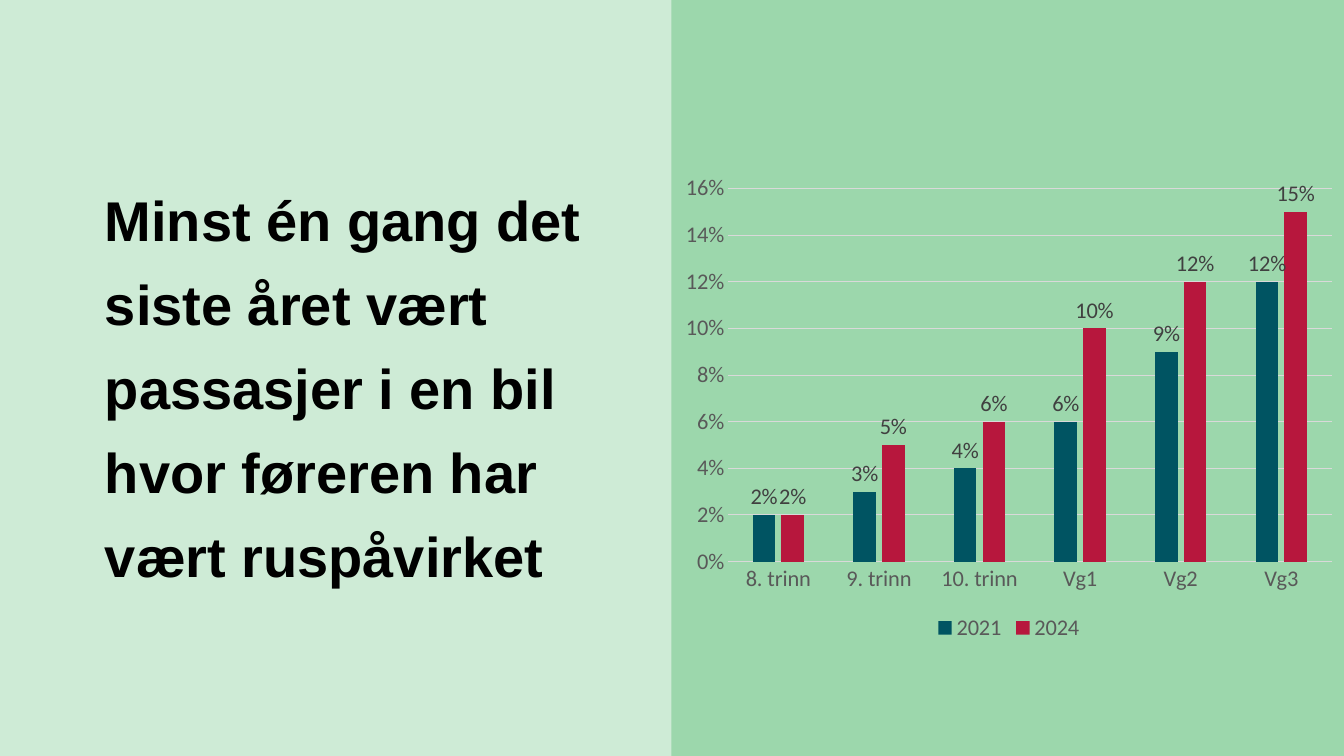
import pptx
import pptx.chart.data
import pptx.dml.color
import pptx.enum.chart
import pptx.enum.shapes
import pptx.enum.text
import pptx.util
from pptx.util import Inches

GRADES = ["8. trinn", "9. trinn", "10. trinn", "Vg1", "Vg2", "Vg3"]
# Year: (bar colour, shares by grade)
SURVEYS = {
    "2021": ("005462", [0.02, 0.03, 0.04, 0.06, 0.09, 0.12]),
    "2024": ("B7173D", [0.02, 0.05, 0.06, 0.10, 0.12, 0.15]),
}
AXIS_GREY = "595959"
GRID_GREY = "D9D9D9"


def rgb(value):
    return pptx.dml.color.RGBColor.from_string(value)


def paint(fill, color):
    fill.solid()
    fill.fore_color.rgb = rgb(color)


def style_font(font, size=16, color=AXIS_GREY, name="Calibri", bold=False):
    font.size = pptx.util.Pt(size)
    font.name = name
    font.bold = bold
    font.color.rgb = rgb(color)


def style_line(line, color, width=0.75):
    line.color.rgb = rgb(color)
    line.width = pptx.util.Pt(width)


def write_text(shape, text, line_spacing=None, **font_format):
    frame = shape.text_frame
    frame.word_wrap = True
    frame.auto_size = pptx.enum.text.MSO_AUTO_SIZE.NONE
    frame.vertical_anchor = pptx.enum.text.MSO_ANCHOR.MIDDLE
    frame.margin_left = frame.margin_right = 0
    frame.margin_top = frame.margin_bottom = 0
    paragraph = frame.paragraphs[0]
    paragraph.alignment = pptx.enum.text.PP_ALIGN.LEFT
    if line_spacing:
        paragraph.line_spacing = pptx.util.Pt(line_spacing)
    run = paragraph.add_run()
    run.text = text
    style_font(run.font, **font_format)


def add_panel(slide, left, top, width, height, color):
    panel = slide.shapes.add_shape(
        pptx.enum.shapes.MSO_SHAPE.RECTANGLE,
        Inches(left), Inches(top), Inches(width), Inches(height))
    panel.shadow.inherit = False
    paint(panel.fill, color)
    panel.line.fill.background()


def set_title(slide, text, left, top, width, height):
    title = slide.shapes.title
    title.left, title.top = Inches(left), Inches(top)
    title.width, title.height = Inches(width), Inches(height)
    write_text(title, text, line_spacing=60, size=40, color="000000",
               name="Arial", bold=True)


def style_axes(chart):
    for axis in (chart.category_axis, chart.value_axis):
        axis.major_tick_mark = pptx.enum.chart.XL_TICK_MARK.NONE
        axis.minor_tick_mark = pptx.enum.chart.XL_TICK_MARK.NONE
        style_font(axis.tick_labels.font)
    style_line(chart.category_axis.format.line, GRID_GREY)
    shares = chart.value_axis
    shares.minimum_scale, shares.maximum_scale = 0, 0.16
    shares.major_unit = 0.02
    shares.tick_labels.number_format = "0%"
    shares.tick_labels.number_format_is_linked = False
    shares.format.line.fill.background()
    shares.has_major_gridlines = True
    style_line(shares.major_gridlines.format.line, GRID_GREY)


def style_bars(plot):
    plot.gap_width = 219
    plot.overlap = -27
    plot.vary_by_categories = False
    for bars, (color, _) in zip(plot.series, SURVEYS.values()):
        paint(bars.format.fill, color)
        bars.invert_if_negative = False
        labels = bars.data_labels
        labels.show_value = True
        labels.position = pptx.enum.chart.XL_LABEL_POSITION.OUTSIDE_END
        labels.number_format = "0%"
        labels.number_format_is_linked = False
        style_font(labels.font, color="404040")


def add_survey_chart(slide, left, top, width, height):
    data = pptx.chart.data.CategoryChartData(number_format="0%")
    data.categories = GRADES
    for year, (_, shares) in SURVEYS.items():
        data.add_series(year, shares)
    chart = slide.shapes.add_chart(
        pptx.enum.chart.XL_CHART_TYPE.COLUMN_CLUSTERED,
        Inches(left), Inches(top), Inches(width), Inches(height), data).chart
    style_font(chart.font, color="000000")
    chart.has_title = False
    style_axes(chart)
    style_bars(chart.plots[0])
    chart.has_legend = True
    chart.legend.position = pptx.enum.chart.XL_LEGEND_POSITION.BOTTOM
    chart.legend.include_in_layout = False
    style_font(chart.legend.font)


def main():
    deck = pptx.Presentation()
    deck.slide_width, deck.slide_height = Inches(13.33), Inches(7.5)
    slide = deck.slides.add_slide(deck.slide_layouts[5])

    # Two-tone background
    paint(slide.background.fill, "CEEBD6")
    add_panel(slide, 6.66, 0, 6.67, 7.5, "9CD7AC")

    # Statement on the left, survey results on the right
    set_title(slide, "Minst én gang det siste året vært passasjer i en bil "
              "hvor føreren har vært ruspåvirket", 1.04, 2.34, 4.99, 2.83)
    add_survey_chart(slide, 6.67, 1.64, 6.67, 4.77)

    deck.save("out.pptx")


if __name__ == "__main__":
    main()
